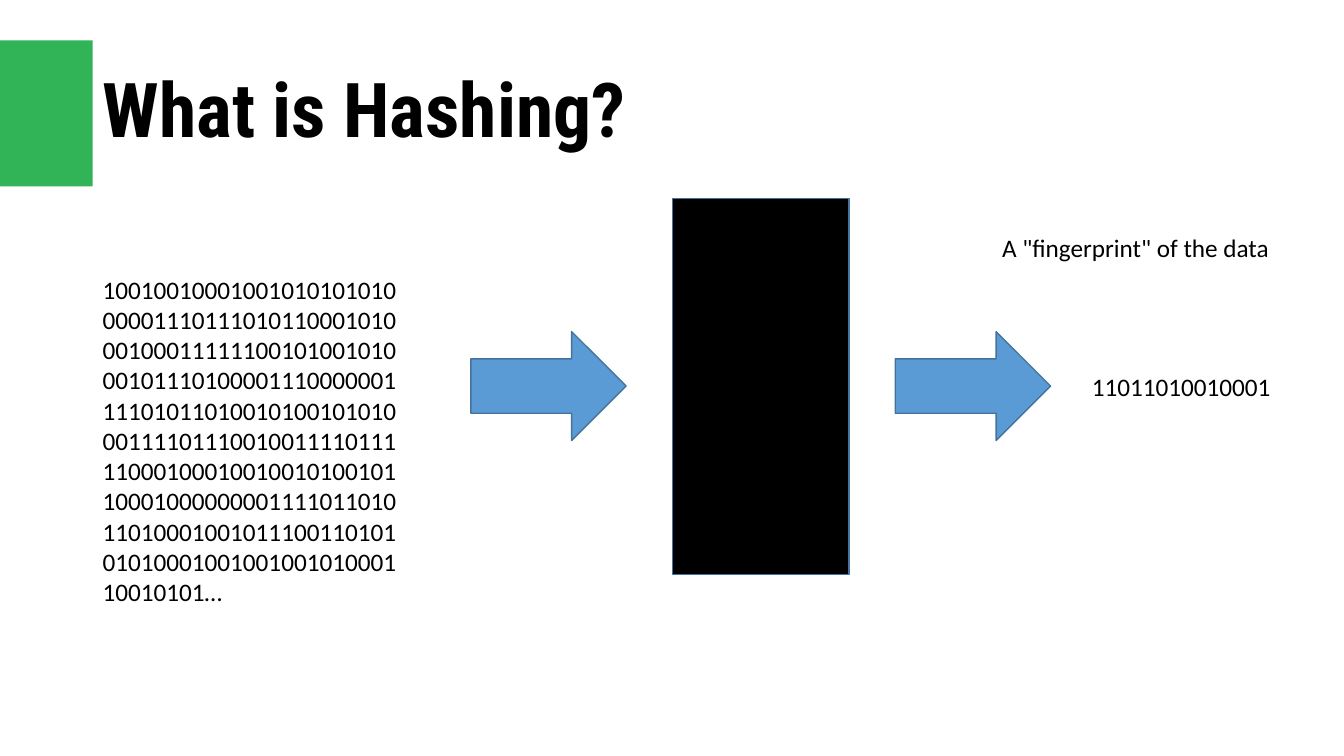
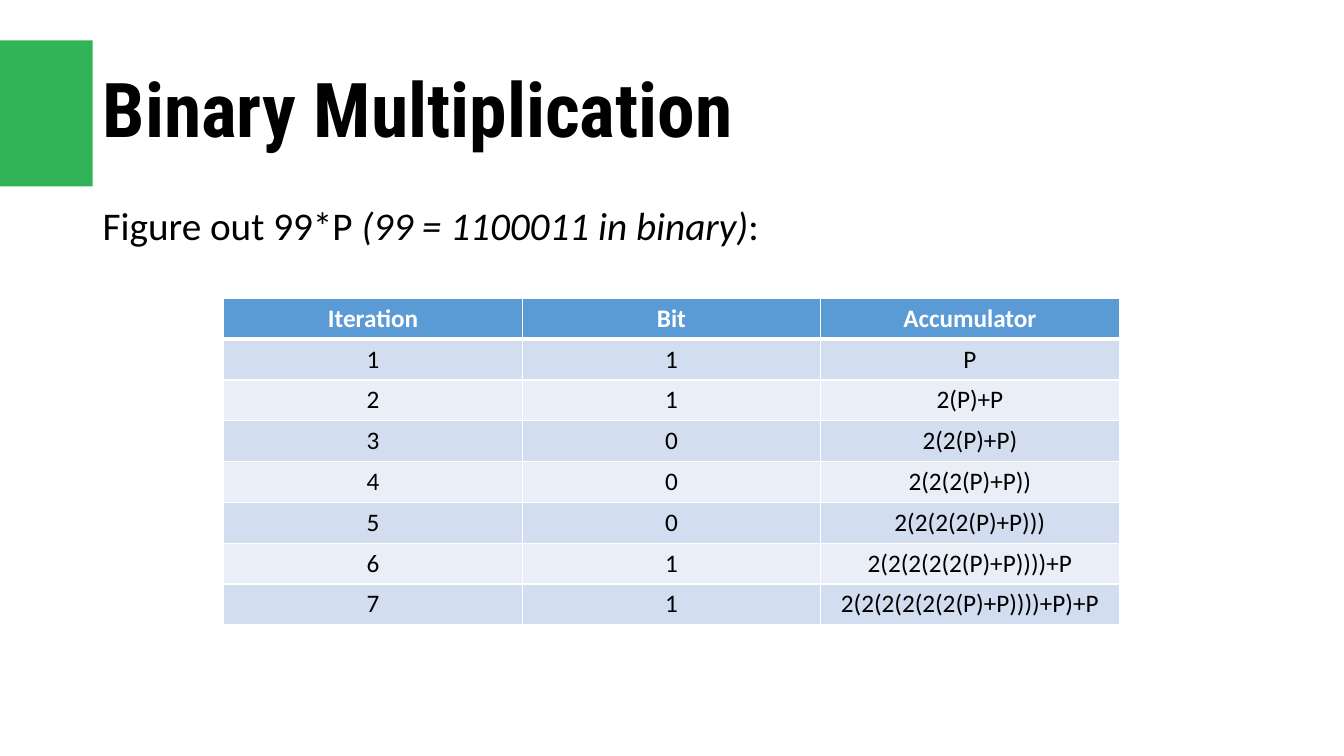
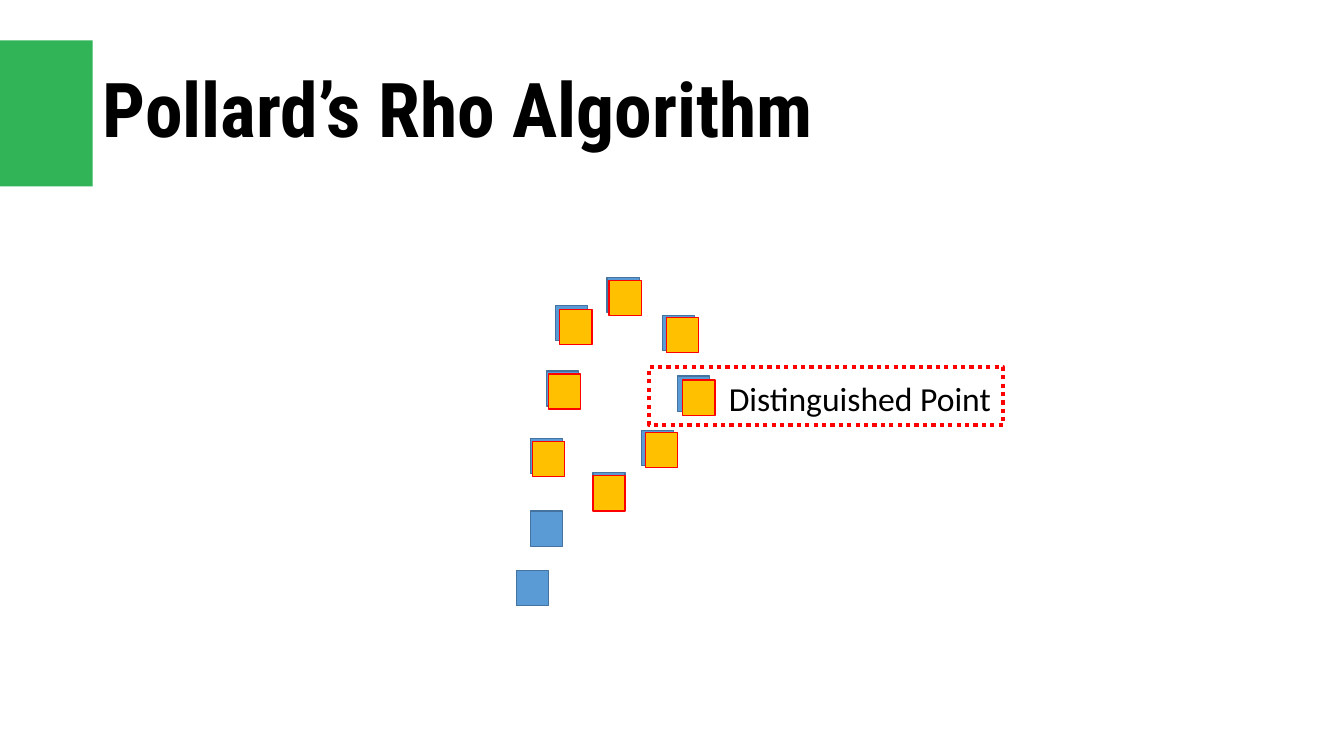
from lxml.etree import SubElement
from pptx import Presentation
from pptx.dml.color import RGBColor
from pptx.enum.dml import MSO_LINE
from pptx.enum.shapes import MSO_SHAPE as Kind
from pptx.enum.text import MSO_ANCHOR as Anchor, MSO_AUTO_SIZE as Auto, PP_ALIGN as Align
from pptx.oxml.ns import qn
from pptx.util import Inches, Pt

HUES = {"green": "31B457", "blue": "5B9BD5", "edge": "43739E", "gold": "FFC000",
        "red": "FF0000", "black": "000000", "white": "FFFFFF",
        "odd": "D2DEEF", "even": "EAEFF7"}
HUES = {name: RGBColor.from_string(code) for name, code in HUES.items()}


def write(frame, text, size=18, face="Calibri", hue="black", bold=False,
          slant=False, wrap=False, space=None, align=None):
    """Add text to the first paragraph; each new line is a line break."""
    frame.word_wrap = wrap
    par = frame.paragraphs[0]
    par.line_spacing = space
    par.alignment = align
    for num, line in enumerate(text.split("\n")):
        if num:
            par.add_line_break()
        run = par.add_run()
        run.text = line
        font = run.font
        font.size, font.name, font.bold, font.italic = Pt(size), face, bold, slant
        font.color.rgb = HUES[hue]


def draw(slide, kind, box, fill=None, line=None, width=1):
    """Add a preset shape, with no fill or line unless one is named."""
    shape = slide.shapes.add_shape(kind, *map(Inches, box))
    shape.shadow.inherit = False
    if fill:
        shape.fill.solid()
        shape.fill.fore_color.rgb = HUES[fill]
    else:
        shape.fill.background()
    if line:
        shape.line.color.rgb = HUES[line]
        shape.line.width = Pt(width)
    else:
        shape.line.fill.background()
    return shape


deck = Presentation()
deck.slide_width, deck.slide_height = Inches(13.33), Inches(7.5)

# Green band and title on every slide
slides = []
for title in ("What is Hashing?", "Binary Multiplication", "Pollard’s Rho Algorithm"):
    slide = deck.slides.add_slide(deck.slide_layouts[6])
    draw(slide, Kind.RECTANGLE, (0, 0.4, 0.92, 1.45), "green")
    head = slide.shapes.add_textbox(*map(Inches, (0.92, 0.4, 11.5, 1.45))).text_frame
    head.vertical_anchor = Anchor.MIDDLE
    write(head, title, size=54, face="Roboto Condensed", bold=True, wrap=True, space=0.9)
    slides.append(slide)
hash_slide, bit_slide, rho_slide = slides

# Hashing: data, black box, fingerprint
draw(hash_slide, Kind.RECTANGLE, (6.67, 1.97, 1.75, 3.73), "black", "edge")
for left in (4.67, 8.88):
    draw(hash_slide, Kind.RIGHT_ARROW, (left, 3.29, 1.54, 1.08), "blue", "edge")

DATA = """10010010001001010101010
00001110111010110001010
00100011111100101001010
00101110100001110000001
11101011010010100101010
00111101110010011110111
11000100010010010100101
10001000000001111011010
11010001001011100110101
01010001001001001010001
10010101…"""
DOT_W, DOT_H = 0.32, 0.35

# Multiplication: task line
task = bit_slide.shapes.add_textbox(*map(Inches, (0.92, 2, 11.5, 0.6))).text_frame
for text, slant in (("Figure out 99*P ", False), ("(99 = 1100011 in binary)", True), (":", False)):
    write(task, text, size=28, slant=slant, wrap=True, space=0.9)

# Multiplication: double for each bit, and add P for each 1
rows = [("Iteration", "Bit", "Accumulator")]
total = ""
for step, bit in enumerate("1100011", 1):
    total = f"2({total})" + "+P" * int(bit) if total else "P"
    rows.append((str(step), bit, total))

frame = bit_slide.shapes.add_table(len(rows), 3, *map(Inches, (2.22, 2.96, 8.88, 3.24)))
table = frame.table
for row, texts in enumerate(rows):
    table.rows[row].height = Inches(3.24 / len(rows))
    for col, text in enumerate(texts):
        cell = table.cell(row, col)
        props = cell._tc.get_or_add_tcPr()
        for side in "LRTB":
            thick = (row, side) in ((0, "B"), (1, "T"))
            edge = SubElement(props, qn(f"a:ln{side}"), w=str(Pt(3 if thick else 1)))
            paint = SubElement(edge, qn("a:solidFill"))
            SubElement(paint, qn("a:srgbClr"), val=str(HUES["white"]))
        cell.fill.solid()
        cell.fill.fore_color.rgb = HUES["odd" if row % 2 else "even" if row else "blue"]
        write(cell.text_frame, text, hue="black" if row else "white", bold=not row,
              wrap=True, align=Align.CENTER)

# Rho: first walk in blue, second lap in gold
WALKS = (
    ("blue", "edge", ((6.36, 4.27), (6.72, 3.73), (6.57, 3.13), (6.02, 2.75), (5.51, 3.03),
                      (5.42, 3.68), (5.26, 4.35), (5.26, 5.07), (5.12, 5.66), (5.88, 4.69))),
    ("gold", "red", ((5.28, 4.38), (5.44, 3.71), (5.55, 3.07), (6.04, 2.78),
                     (6.61, 3.15), (6.77, 3.77), (6.4, 4.29), (5.88, 4.72))),
)
for fill, line, spots in WALKS:
    for left, top in spots:
        draw(rho_slide, Kind.RECTANGLE, (left, top, DOT_W, DOT_H), fill, line)
mark = draw(rho_slide, Kind.RECTANGLE, (6.44, 3.64, 3.51, 0.58), line="red", width=3)
mark.line.dash_style = MSO_LINE.ROUND_DOT

# Labels that fit their text
for slide, box, text, size in (
    (hash_slide, (0.92, 2.67, 3.15, 3.43), DATA, 18),
    (hash_slide, (10.73, 3.63, 1.99, 0.4), "11011010010001", 18),
    (hash_slide, (9.84, 2.26, 2.88, 0.4), 'A "fingerprint" of the data', 18),
    (rho_slide, (7.13, 3.7, 2.83, 0.5), "Distinguished Point", 24),
):
    label = slide.shapes.add_textbox(*map(Inches, box)).text_frame
    label.auto_size = Auto.SHAPE_TO_FIT_TEXT
    write(label, text, size=size)

deck.save("out.pptx")
